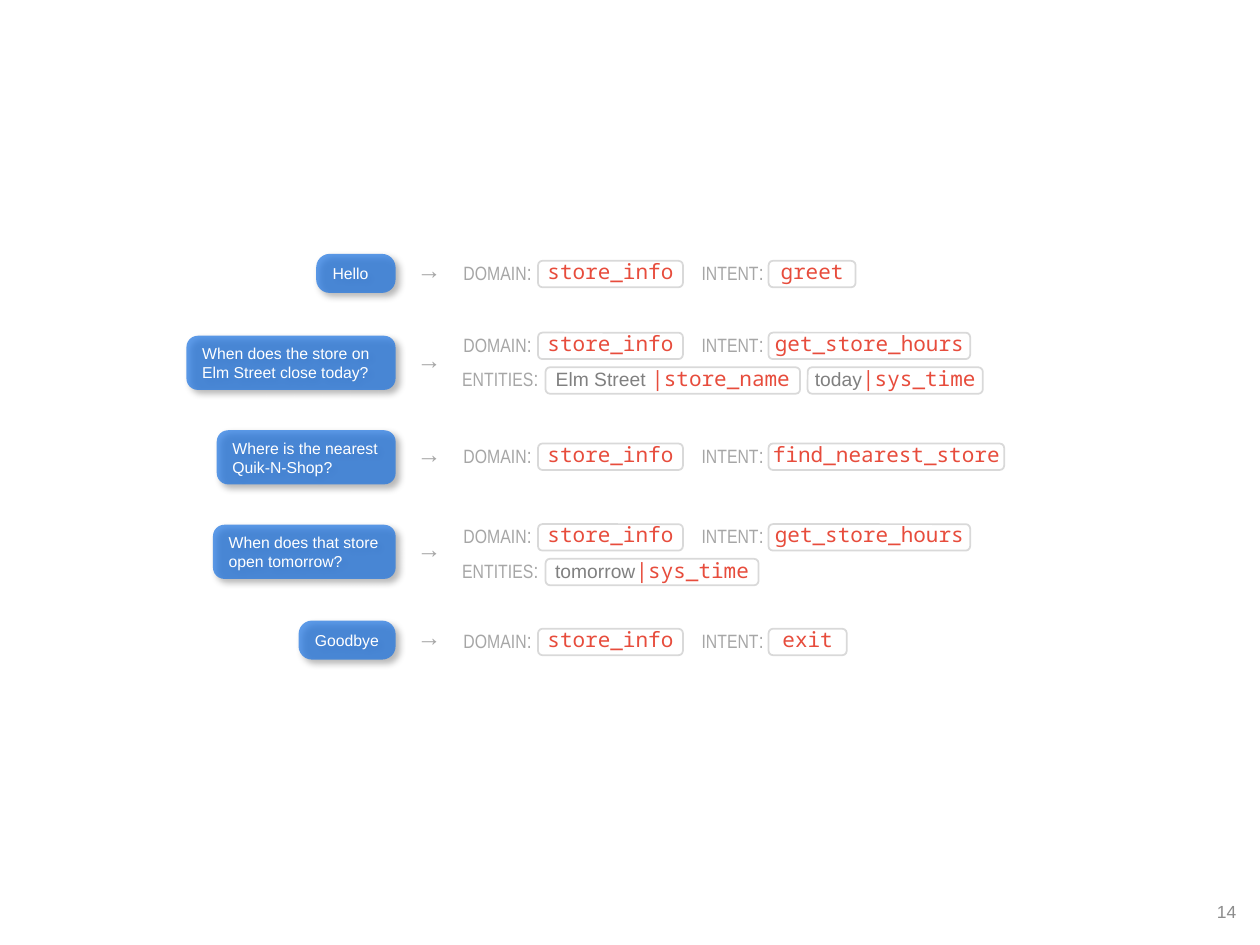
from lxml.etree import SubElement
from pptx import Presentation
from pptx.dml.color import RGBColor
from pptx.enum.shapes import MSO_SHAPE
from pptx.enum.text import MSO_ANCHOR, MSO_AUTO_SIZE, PP_ALIGN
from pptx.oxml.ns import qn
from pptx.util import Inches, Pt

# Text formats: font, size, colour
LABEL = ("Arial Narrow", 11, "A6A6A6")
COLON = ("Arial Narrow", 12, "A6A6A6")
ARROW = ("Arial Narrow", 14, "A6A6A6")
CODE = ("Noto Sans Mono", 12, "E74C3C")
VALUE = ("Arial", 11, "808080")
QUERY = ("Arial", 9, "FFFFFF")
PAGE = ("Arial", 10, "8C8C8C")

# Entities: value, type, box width
EXAMPLES = [
    dict(query="Hello", width=0.63, lines=1, middle=2.17, top=2.01,
         intent=("greet", 0.69), entities=[]),
    dict(query="When does the store on \nElm Street close today?", width=1.66,
         lines=2, middle=2.88, top=2.58, intent=("get_store_hours", 1.6),
         entities=[("Elm Street ", "store_name", 2.02), ("today", "sys_time", 1.39)]),
    dict(query="Where is the nearest\nQuik-N-Shop?", width=1.42, lines=2,
         middle=3.63, top=3.46, intent=("find_nearest_store", 1.87), entities=[]),
    dict(query="When does that store open tomorrow?", width=1.45, lines=2,
         middle=4.38, top=4.1, intent=("get_store_hours", 1.6),
         entities=[("tomorrow", "sys_time", 1.69)]),
    dict(query="Goodbye", width=0.77, lines=1, middle=5.08, top=4.93,
         intent=("exit", 0.62), entities=[]),
]
DOMAIN = ("store_info", 1.15)

BUBBLE_RIGHT = 3.14
BUBBLE_SIZES = {1: (0.31, 0.345), 2: (0.43, 0.21)}  # lines: height, corner
CHIP_HEIGHT, CHIP_DROP, CHIP_GAP = 0.21, 0.06, 0.06
ENTITY_DROP = 0.275

presentation = Presentation()
presentation.slide_width, presentation.slide_height = Inches(10), Inches(7.5)
slide = presentation.slides.add_slide(presentation.slide_layouts[6])


def color(value):
    return RGBColor.from_string(value)


def write(shape, runs, align=PP_ALIGN.LEFT, insets=(0.1, 0.05, 0.1, 0.05), **frame_format):
    """Fill a shape with (text, format) runs; a newline is a line break."""
    frame = shape.text_frame
    for side, inset in zip(("left", "top", "right", "bottom"), insets):
        setattr(frame, f"margin_{side}", Inches(inset))
    for name, value in frame_format.items():
        setattr(frame, name, value)
    paragraph = frame.paragraphs[0]
    paragraph.alignment = align
    for text, (font, size, tint) in runs:
        for index, line in enumerate(text.split("\n")):
            if index:
                paragraph.add_line_break()
            run = paragraph.add_run()
            run.text = line
            run.font.name, run.font.size = font, Pt(size)
            run.font.color.rgb = color(tint)


def add_text(left, top, width, height, runs, **text_format):
    box = slide.shapes.add_textbox(*map(Inches, (left, top, width, height)))
    write(box, runs, **text_format)


def add_label(left, top, width, height, runs):
    add_text(left, top, width, height, runs, word_wrap=False,
             auto_size=MSO_AUTO_SIZE.SHAPE_TO_FIT_TEXT)


def add_rounded(left, top, width, height, fill):
    shape = slide.shapes.add_shape(MSO_SHAPE.ROUNDED_RECTANGLE,
                                   *map(Inches, (left, top, width, height)))
    shape.shadow.inherit = False
    shape.fill.solid()
    shape.fill.fore_color.rgb = color(fill)
    return shape


def add_chip(left, top, width, runs, bottom_inset=0.05):
    chip = add_rounded(left, top, width, CHIP_HEIGHT, "FFFFFF")
    chip.line.color.rgb = color("D9D9D9")
    chip.line.width = Pt(1)
    write(chip, runs, PP_ALIGN.CENTER, (0, 0, 0, bottom_inset),
          word_wrap=True, vertical_anchor=MSO_ANCHOR.MIDDLE)


def add_bubble(query, width, lines, middle):
    height, corner = BUBBLE_SIZES[lines]
    bubble = add_rounded(BUBBLE_RIGHT - width, middle - height / 2, width, height, "1C73E1")
    bubble.adjustments[0] = corner
    bubble.line.fill.background()
    properties = bubble._element.spPr
    fill_color = properties.find(qn("a:solidFill"))[0]
    SubElement(fill_color, qn("a:alpha"), val="71000")
    shadow = SubElement(properties.find(qn("a:effectLst")), qn("a:outerShdw"),
                        blurRad=str(Pt(4)), dist=str(Pt(3)), dir=str(45 * 60000),
                        algn="tl", rotWithShape="0")
    shadow_color = SubElement(shadow, qn("a:srgbClr"), val="000000")
    SubElement(shadow_color, qn("a:alpha"), val="40000")
    write(bubble, [(query, QUERY)], insets=(0.1, 0.04, 0.1, 0.04),
          word_wrap=True, vertical_anchor=MSO_ANCHOR.MIDDLE)


for example in EXAMPLES:
    middle, top = example["middle"], example["top"]
    add_bubble(example["query"], example["width"], example["lines"], middle)
    add_label(3.21, middle - 0.17, 0.39, 0.34, [("→", ARROW)])

    for name, left, width, chip_left, (code, chip_width) in (
        ("DOMAIN", 3.58, 0.78, 4.27, DOMAIN),
        ("INTENT", 5.47, 0.73, 6.1, example["intent"]),
    ):
        add_label(left, top, width, 0.3, [(name, LABEL), (":", COLON)])
        add_chip(chip_left, top + CHIP_DROP, chip_width, [(code, CODE)])

    if example["entities"]:
        entity_top = top + ENTITY_DROP
        add_label(3.57, entity_top, 0.85, 0.3, [("ENTITIES", LABEL), (":", COLON)])
        chip_left = 4.33
        for value, kind, chip_width in example["entities"]:
            add_chip(chip_left, entity_top + CHIP_DROP, chip_width,
                     [(value, VALUE), ("|" + kind, CODE)], bottom_inset=0.03)
            chip_left += chip_width + CHIP_GAP

add_text(7.58, 7.1, 2.33, 0.4, [("14", PAGE)], align=PP_ALIGN.RIGHT, word_wrap=True)

presentation.save("out.pptx")
